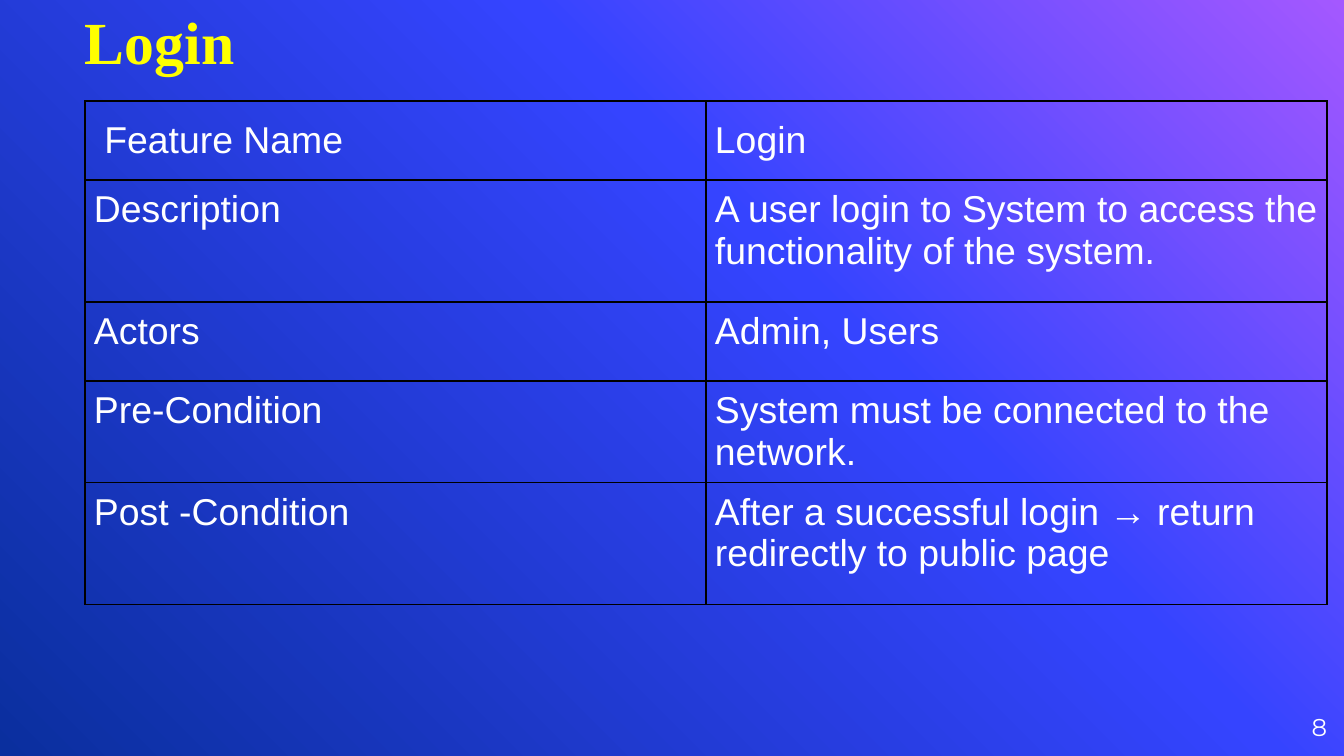
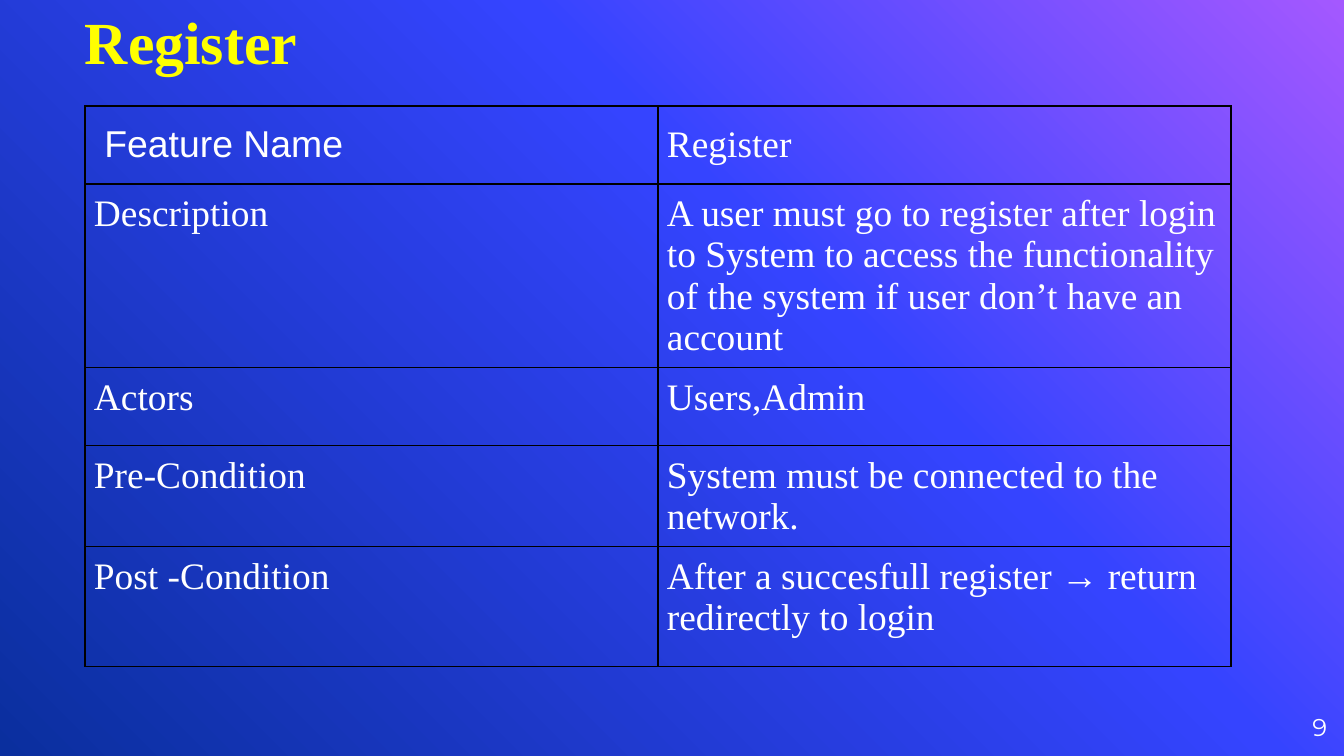
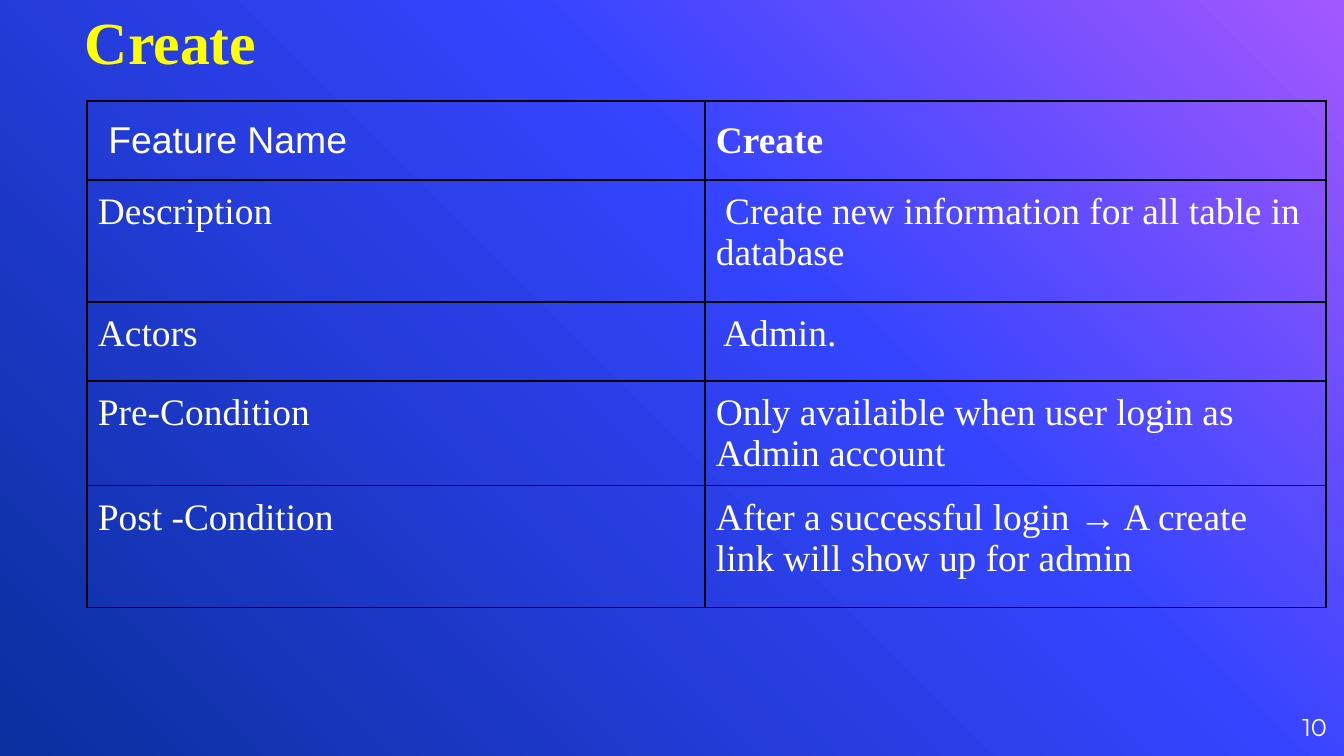
"""Build three feature-description slides, each a title above a two-column table."""
from copy import deepcopy

from pptx import Presentation
from pptx import util as u
from pptx.dml import color
from pptx.enum import text
from pptx.oxml import parse_xml
from pptx.oxml import ns

EMU_PER_PX = 914400 / 134.4
WHITE, YELLOW, BLACK = "FFFFFF", "FFFF00", "000000"
BACKDROP = [(0, "A458FF"), (0.39, "3544FF"), (1, "0A2F9E")]
SANS, SERIF, NUMBER_FONT = "Arial", "Times New Roman", "Montserrat"
LABELS = ["Feature Name", "Description", "Actors", "Pre-Condition", "Post -Condition"]

FEATURES = [
    dict(
        name="Login", left=85, top=101, columns=[621, 621],
        rows=[79, 122, 79, 79, 122], inset=9, font=SANS,
        values=[
            "A user login to System to access the functionality of the system.",
            "Admin, Users",
            "System must be connected to the network.",
            "After a successful login → return redirectly to public page",
        ],
    ),
    dict(
        name="Register", left=85, top=106, columns=[573, 573],
        rows=[78, 163, 78, 78, 120], inset=9, font=SERIF,
        values=[
            "A user must go to register after login to System to access "
            "the functionality of the system if user don’t have an account",
            "Users,Admin",
            "System must be connected to the network.",
            "After a succesfull register → return redirectly to login",
        ],
    ),
    dict(
        name="Create", left=87, top=101, columns=[618, 621],
        rows=[79, 122, 79, 79, 122], inset=11, font=SERIF, bold_name=True,
        values=[
            " Create new information for all table in database",
            " Admin.",
            "Only availaible when user login as Admin account",
            "After a successful login → A create link will show up for admin",
        ],
    ),
]


def px(length):
    return u.Emu(round(length * EMU_PER_PX))


def rgb(code):
    return color.RGBColor.from_string(code)


def write(frame, words, font=SANS, size=20, fill=WHITE, bold=False, align="LEFT"):
    para = frame.paragraphs[0]
    para.alignment = getattr(text.PP_ALIGN, align)
    span = para.add_run()
    span.text = words
    span.font.name, span.font.size, span.font.bold = font, u.Pt(size), bold
    span.font.color.rgb = rgb(fill)


def set_insets(holder, inset):
    for side in ("left", "top", "right", "bottom"):
        setattr(holder, f"margin_{side}", px(inset))


class FeatureDeck:
    """Holds the deck's style and the page being filled."""

    def __init__(self):
        self.deck = Presentation()
        self.deck.slide_width, self.deck.slide_height = px(1344), px(756)
        self.paint_backdrop()

    def paint_backdrop(self):
        master = self.deck.slide_master
        fill = master.background.fill
        fill.gradient()
        fill.gradient_angle = 225
        stop_list = master.element.find(f".//{ns.qn('a:gsLst')}")
        stop_list.append(deepcopy(stop_list[-1]))
        for stop, (position, code) in zip(fill.gradient_stops, BACKDROP):
            stop.position, stop.color.rgb = position, rgb(code)

    def add_page(self):
        self.page = self.deck.slides.add_slide(self.deck.slide_layouts[5])

    def frame(self, box, anchor):
        frame = box.text_frame
        frame.word_wrap, frame.auto_size = True, text.MSO_AUTO_SIZE.NONE
        frame.vertical_anchor = anchor
        set_insets(frame, 0)
        return frame

    def title(self, words):
        box = self.page.shapes.title
        box.left, box.top, box.width, box.height = map(px, (85, 13, 884, 63))
        write(self.frame(box, text.MSO_ANCHOR.BOTTOM), words,
              font=SERIF, size=32, fill=YELLOW, bold=True)

    def page_number(self, number):
        box = self.page.shapes.add_textbox(*map(px, (1246, 698, 81, 58)))
        write(self.frame(box, text.MSO_ANCHOR.MIDDLE), str(number),
              font=NUMBER_FONT, size=13, align="RIGHT")

    def border(self, cell):
        properties = cell._tc.get_or_add_tcPr()
        for position, side in enumerate("LRTB"):
            properties.insert(position, parse_xml(
                f'<a:ln{side} {ns.nsdecls("a")} w="{u.Pt(0.75)}"><a:solidFill>'
                f'<a:srgbClr val="{BLACK}"/></a:solidFill></a:ln{side}>'))

    def table(self, name, left, top, columns, rows, inset, font, values, bold_name=False):
        table = self.page.shapes.add_table(
            len(rows), len(columns), px(left), px(top),
            px(sum(columns)), px(sum(rows))).table
        table.first_row = table.horz_banding = False
        for column, width in zip(table.columns, columns):
            column.width = px(width)
        for row, height in zip(table.rows, rows):
            row.height = px(height)
        for index, pair in enumerate(zip(LABELS, [name, *values])):
            heading = index == 0
            for column, words in enumerate(pair):
                cell = table.cell(index, column)
                cell.fill.background()
                self.border(cell)
                set_insets(cell, inset)
                cell.vertical_anchor = (
                    text.MSO_ANCHOR.MIDDLE if heading else text.MSO_ANCHOR.TOP)
                corner = heading and column == 0
                write(cell.text_frame, f" {words}" if corner else words,
                      font=SANS if corner else font,
                      bold=bold_name and heading and column == 1)


def main():
    show = FeatureDeck()
    for number, feature in enumerate(FEATURES, start=8):
        show.add_page()
        show.title(feature["name"])
        show.page_number(number)
        show.table(**feature)
    show.deck.save("out.pptx")


if __name__ == "__main__":
    main()
